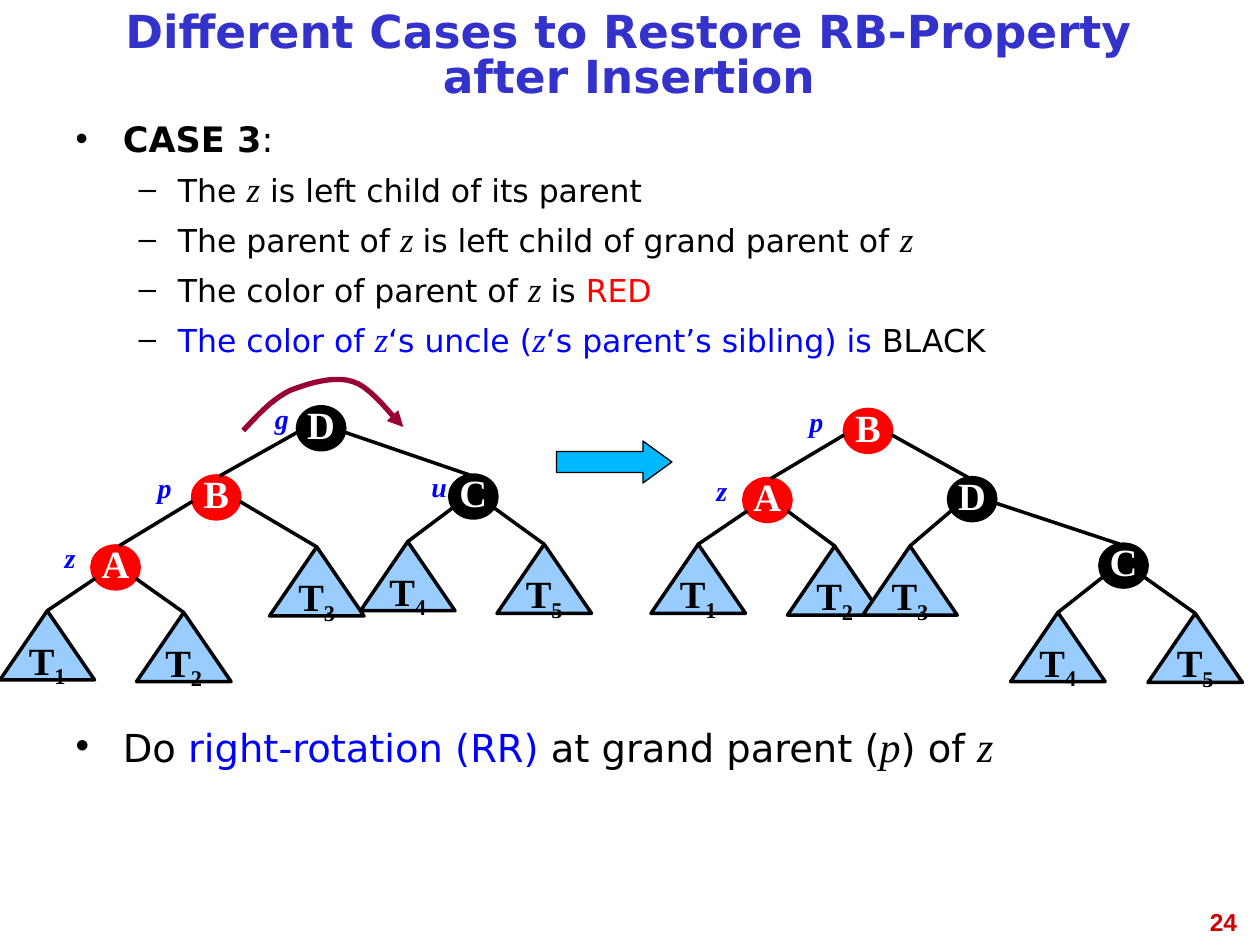
from pptx import Presentation
from pptx.dml.color import RGBColor
from pptx.enum import shapes as kinds, text as tx
from pptx.oxml.ns import qn
from pptx.util import Pt
from lxml import etree

SANS, SERIF = "DejaVu Sans", "Times New Roman"
THEME = {
    "black": "000000", "red": "FF0000", "blue": "0000FF", "leaf": "99CCFF",
    "arrow": "00B8FF", "curve": "990033", "white": "FFFFFF",
    "title": "3333CC", "page": "CC0000",
    "head": 26, "case": 20, "sub": 18, "var": 20, "do": 22, "dovar": 24,
    "node": 22, "tag": 16, "num": 14,
}

TITLE = "Different Cases to Restore RB-Property after Insertion"
# Each run: text, size, and optionally colour or other format
VAR = dict(size="var", font=SERIF, italic=True)
BLUE = dict(color="blue")
BLUEVAR = VAR | BLUE
CASE = [("CASE 3", dict(size="case", bold=True)), (":", dict(size="case"))]
RULES = [
    [("The ", {}), ("z", VAR), (" is left child of its parent", {})],
    [("The parent of ", {}), ("z ", VAR),
     ("is left child of grand parent of ", {}), ("z", VAR)],
    [("The color of parent of ", {}), ("z ", VAR), ("is ", {}),
     ("RED", dict(color="red"))],
    [("The color of ", BLUE), ("z", BLUEVAR), ("‘s uncle (", BLUE),
     ("z", BLUEVAR), ("‘s parent’s sibling) is ", BLUE), ("BLACK", {})],
]
DO = dict(size="do")
DOVAR = dict(size="dovar", font=SERIF, italic=True)
ACTION = [("Do ", DO), ("right-rotation (RR)", DO | BLUE),
          (" at grand parent (", DO), ("p", DOVAR), (") of ", DO), ("z", DOVAR)]

# nodes: name -> left, top, colour; leaves: number -> left, top
# tags: text, node, distance of its centre from the node's left side
TREES = [
    dict(nodes={"D": (170, 232.5, "black"), "B": (110, 272, "red"),
                "A": (52.5, 312, "red"), "C": (257, 271.5, "black")},
         leaves={"1": (0, 349), "2": (78, 350), "4": (206, 309.5),
                 "5": (284, 311), "3": (154, 312.5)},
         edges=["DB", "DC", "BA", "B3", "A1", "A2", "C4", "C5"],
         tags=[("g", "D", 9), ("p", "B", 16), ("z", "A", 12.5), ("u", "C", 6)]),
    dict(nodes={"B": (482.5, 234, "red"), "A": (425, 273.5, "red"),
                "D": (542, 273, "black"), "C": (628.5, 311, "black")},
         leaves={"1": (372, 311), "2": (450, 312), "3": (493, 312),
                 "4": (577.5, 350), "5": (656, 350.5)},
         edges=["BA", "BD", "A1", "A2", "D3", "DC", "C4", "C5"],
         tags=[("p", "B", 16), ("z", "A", 12.5)]),
]
NODE, LEAF, TAG = (27, 24.5), (54, 39.5), (54, 26.5)
# Cubic curve: start, then two controls and an end for each stretch
CURVE = [(139, 246), (147.5, 237), (155.5, 228), (166, 223),
         (176.5, 219), (191, 214.5), (201.5, 218),
         (212.5, 221), (225.5, 240), (230.5, 244)]


def rgb(name):
    return RGBColor.from_string(THEME[name])


def put(para, words, size="sub", font=SANS, color="black",
        bold=False, italic=False, drop=False):
    run = para.add_run()
    run.text = words
    f = run.font
    f.size, f.name, f.bold, f.italic = Pt(THEME[size]), font, bold, italic
    f.color.rgb = rgb(color)
    if drop:
        f._element.set("baseline", "-25000")


def place(shape, x, y, w, h):
    shape.left, shape.top, shape.width, shape.height = map(Pt, (x, y, w, h))


def bullet(para, mark, left, hang, before, lines, runs):
    pr = para._p.get_or_add_pPr()
    pr.set("marL", str(Pt(left)))
    pr.set("indent", str(-Pt(hang)))
    tint = etree.SubElement(pr, qn("a:buClr"))
    etree.SubElement(tint, qn("a:srgbClr")).set("val", THEME["black"])
    etree.SubElement(pr, qn("a:buChar")).set("char", mark)
    para.alignment = tx.PP_ALIGN.JUSTIFY
    para.space_before, para.line_spacing = Pt(before), lines
    for words, form in runs:
        put(para, words, **form)


def label(pool, words, x, y, w, h, align=tx.PP_ALIGN.CENTER, **form):
    box = pool.add_textbox(Pt(x), Pt(y), Pt(w), Pt(h))
    box.text_frame.word_wrap = True
    para = box.text_frame.paragraphs[0]
    para.alignment = align
    put(para, words, **form)


def solid(pool, kind, x, y, size, fill, edge="black", width=2):
    shape = pool.add_shape(kind, Pt(x), Pt(y), *map(Pt, size))
    shape.shadow.inherit = False
    shape.fill.solid()
    shape.fill.fore_color.rgb = rgb(fill)
    shape.line.color.rgb, shape.line.width = rgb(edge), Pt(width)
    return shape


def name(shape, words, color, sub=""):
    frame = shape.text_frame
    frame.word_wrap, frame.vertical_anchor = False, tx.MSO_ANCHOR.MIDDLE
    para = frame.paragraphs[0]
    para.alignment, para.line_spacing = tx.PP_ALIGN.CENTER, 0.81
    form = dict(size="node", font=SERIF, color=color, bold=True)
    put(para, words, **form)
    if sub:
        put(para, sub, drop=True, **form)


def link(pool, tree, top, low):
    """Join a node's side to the top of its child; steep edges start lower."""
    x, y, _ = tree["nodes"][top]
    mid = x + NODE[0] / 2
    if low in tree["leaves"]:
        cx, cy = tree["leaves"][low]
        end = cx + LEAF[0] / 2
        side = 1 if end > mid else -1
    else:
        cx, cy, _ = tree["nodes"][low]
        side = 1 if cx > x else -1
        end = cx + NODE[0] / 2 - 2 * side
    inset, drop = (2, 18.5) if abs(end - mid) < 45 else (0, 14.5)
    start = mid + side * (NODE[0] / 2 - inset)
    line = pool.add_connector(kinds.MSO_CONNECTOR.STRAIGHT,
                              Pt(start), Pt(y + drop), Pt(end), Pt(cy))
    line.line.color.rgb, line.line.width = rgb("black"), Pt(2)
    etree.SubElement(line._element.spPr, qn("a:effectLst"))


def draw(slide, tree):
    pool = slide.shapes.add_group_shape().shapes
    for key, (x, y, color) in tree["nodes"].items():
        name(solid(pool, kinds.MSO_SHAPE.OVAL, x, y, NODE, color, color),
             key, "white")
    for top, low in tree["edges"]:
        link(pool, tree, top, low)
    for key, (x, y) in tree["leaves"].items():
        name(solid(pool, kinds.MSO_SHAPE.ISOSCELES_TRIANGLE, x, y, LEAF, "leaf"),
             "T", "black", key)
    for words, key, gap in tree["tags"]:
        x, y, _ = tree["nodes"][key]
        label(pool, words, x - gap - TAG[0] / 2, y - 6.5, *TAG, size="tag",
              font=SERIF, color="blue", bold=True, italic=True)


def sweep(slide, steps=10):
    """Draw the rotation arrow along the cubic curve."""
    dots = []
    for i in range(0, len(CURVE) - 1, 3):
        a, b, c, d = CURVE[i:i + 4]
        for n in range(1, steps + 1):
            t = n / steps
            s = 1 - t
            dots.append(tuple(
                Pt(s**3 * p + 3 * s * s * t * q + 3 * s * t * t * r + t**3 * v)
                for p, q, r, v in zip(a, b, c, d)))
    pen = slide.shapes.build_freeform(*map(Pt, CURVE[0]))
    pen.add_line_segments(dots, close=False)
    arc = pen.convert_to_shape()
    arc.shadow.inherit = False
    arc.fill.background()
    arc.line.color.rgb, arc.line.width = rgb("curve"), Pt(3)
    etree.SubElement(arc.line._get_or_add_ln(), qn("a:tailEnd")).set("type", "triangle")


def main():
    deck = Presentation()
    deck.slide_width, deck.slide_height = Pt(720), Pt(540)
    slide = deck.slides.add_slide(deck.slide_layouts[3])
    title, case, action = slide.placeholders
    place(title, 36, 6, 647, 54)
    place(case, 36, 66, 647, 144)
    place(action, 36, 408, 647, 114)
    for part in (title, case, action):
        part.text_frame.auto_size = tx.MSO_AUTO_SIZE.NONE
        part.text_frame.word_wrap = True
    title.text_frame.vertical_anchor = tx.MSO_ANCHOR.MIDDLE
    para = title.text_frame.paragraphs[0]
    para.alignment, para.line_spacing = tx.PP_ALIGN.CENTER, 0.81
    put(para, TITLE, size="head", color="title", bold=True)

    bullet(case.text_frame.paragraphs[0], "•", 27, 27, 0, 0.9, CASE)
    for rule in RULES:
        para = case.text_frame.add_paragraph()
        para.level = 1
        bullet(para, "–", 58.5, 22.5, 7, 0.9, rule)
    bullet(action.text_frame.paragraphs[0], "•", 27, 27, 0, 1.0, ACTION)

    sweep(slide)
    for tree in TREES:
        draw(slide, tree)
    arrow = solid(slide.shapes, kinds.MSO_SHAPE.RIGHT_ARROW, 318, 252,
                  (66, 24), "arrow", width=0.75)
    arrow.adjustments[1] = 0.69
    label(slide.shapes, "24", 546, 515, 168, 25, tx.PP_ALIGN.RIGHT,
          size="num", font="Arial", color="page", bold=True)
    deck.save("out.pptx")


if __name__ == "__main__":
    main()
